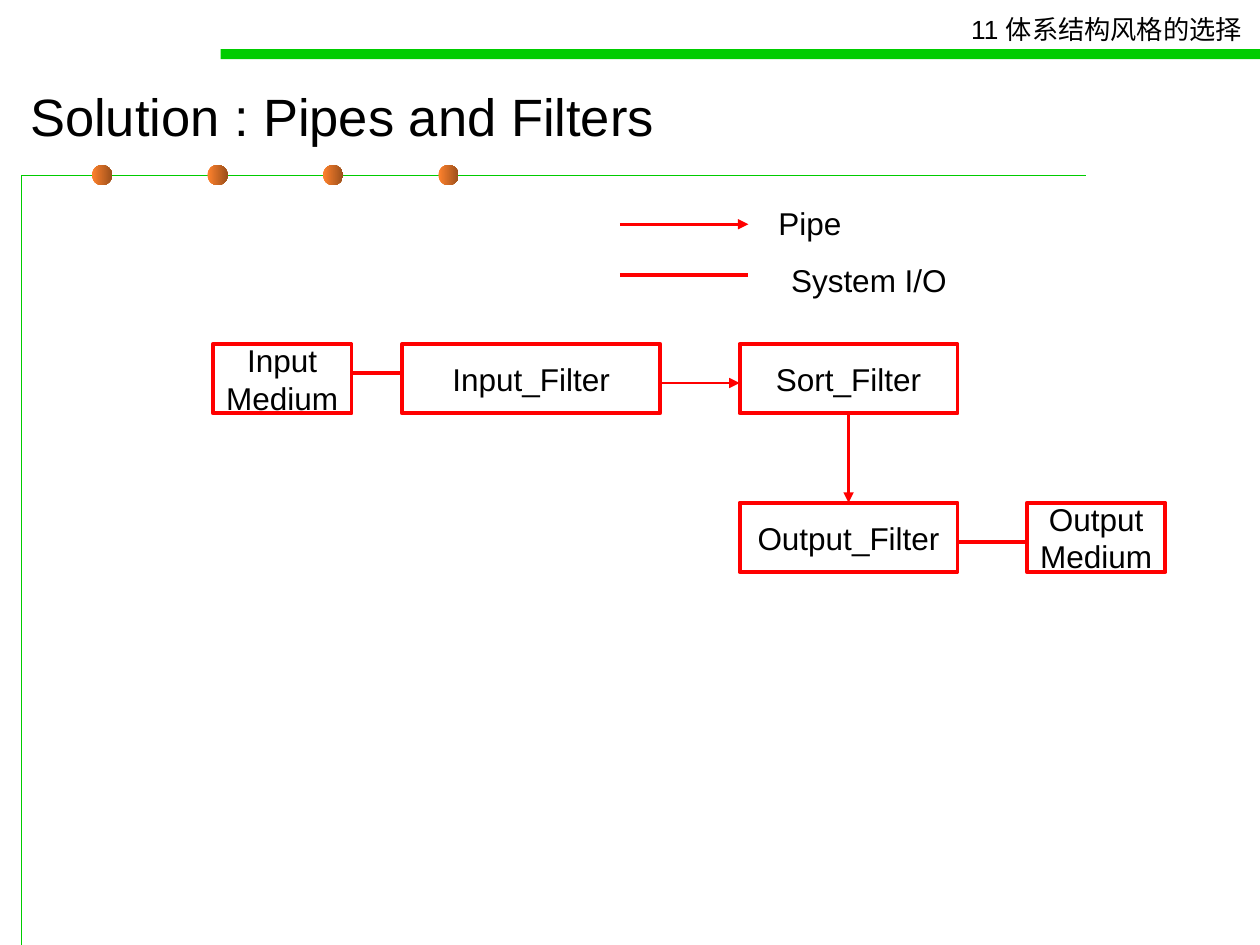
from lxml.etree import SubElement
from pptx import Presentation
from pptx.dml.color import RGBColor
from pptx.enum.shapes import MSO_CONNECTOR, MSO_SHAPE
from pptx.enum.text import MSO_ANCHOR, MSO_AUTO_SIZE, PP_ALIGN
from pptx.oxml.ns import qn
from pptx.util import Inches, Pt

THEME = {
    "font": "Arial",
    "text": RGBColor(0x00, 0x00, 0x00),
    "rule": RGBColor(0x00, 0xCC, 0x00),
    "flow": RGBColor(0xFF, 0x00, 0x00),
    "dots": (RGBColor(0xFF, 0x82, 0x2D), RGBColor(0x9B, 0x4F, 0x1B)),
    "header": Pt(15), "title": Pt(30), "body": Pt(18),
    "thin": Pt(0.75), "pipe": Pt(1.5), "thick": Pt(2.25),
}

prs = Presentation()
prs.slide_width, prs.slide_height = Inches(10), Inches(7.5)
slide = prs.slides.add_slide(prs.slide_layouts[6])
shapes = slide.shapes


def write(sp, text, size, align=PP_ALIGN.LEFT, **frame):
    tf = sp.text_frame
    for name, value in ({"word_wrap": False} | frame).items():
        setattr(tf, name, value)
    tf.text = text
    for p in tf.paragraphs:
        p.alignment = align
        fmt = {"name": THEME["font"], "size": THEME[size]}
        for name, value in fmt.items():
            setattr(p.runs[0].font, name, value)
        p.runs[0].font.color.rgb = THEME["text"]


def connect(x1, y1, x2, y2, pipe):
    ends = [Inches(v) for v in (x1, y1, x2, y2)]
    cx = shapes.add_connector(MSO_CONNECTOR.STRAIGHT, *ends)
    cx.line.color.rgb = THEME["flow"]
    cx.line.width = THEME["pipe" if pipe else "thick"]
    if pipe:
        SubElement(cx.line._get_or_add_ln(), qn("a:tailEnd"), type="triangle")
    SubElement(cx._element.spPr, qn("a:effectLst"))


# Green frame line down the left side and under the title
frame_x, frame_y, frame_end = 0.17, 1.39, 8.62
left, top, end = Inches(frame_x), Inches(frame_y), Inches(frame_end)
fb = shapes.build_freeform(left, prs.slide_height)
fb.add_line_segments([(left, top), (end, top)], close=False)
sp = fb.convert_to_shape()
sp.shadow.inherit = False
sp.fill.background()
sp.line.color.rgb, sp.line.width = THEME["rule"], THEME["thin"]

# Evenly spaced dots on the frame line
dot, first_dot, last_dot, dots = 0.16, 0.73, 3.48, 4
dot_gap = (last_dot - first_dot) / (dots - 1)
for i in range(dots):
    sp = shapes.add_shape(MSO_SHAPE.OVAL, Inches(first_dot + i * dot_gap),
                          Inches(frame_y - dot / 2), Inches(dot), Inches(dot))
    sp.shadow.inherit = False
    sp.line.fill.background()
    sp.fill.gradient()
    sp.fill.gradient_angle = 0
    for stop, color, pos in zip(sp.fill.gradient_stops, THEME["dots"], (0, 1)):
        stop.color.rgb, stop.position = color, pos

# Header bar
sp = shapes.add_shape(MSO_SHAPE.RECTANGLE, Inches(1.75), Inches(0.39),
                      Inches(8.25), Inches(0.08))
sp.shadow.inherit = False
sp.fill.solid()
sp.fill.fore_color.rgb = THEME["rule"]
sp.line.fill.background()

# Title
sp = shapes.add_textbox(Inches(0.14), Inches(0.56), Inches(9.29), Inches(0.71))
write(sp, "Solution : Pipes and Filters", "title",
      word_wrap=True, vertical_anchor=MSO_ANCHOR.MIDDLE)

# Header and legend labels, sized to their one line of text
for text, size, box in (
    ("11 体系结构风格的选择", "header", (7.61, 0.06, 2.41, 0.35)),
    ("Pipe", "body", (6.08, 1.57, 0.7, 0.4)),
    ("System I/O", "body", (6.18, 2.02, 1.45, 0.4)),
):
    sp = shapes.add_textbox(*[Inches(v) for v in box])
    write(sp, text, size, auto_size=MSO_AUTO_SIZE.SHAPE_TO_FIT_TEXT)

# Diagram grid: (left, width) of each column, top of each row
cols = {"input": (1.69, 1.1), "first": (3.19, 2.05),
        "second": (5.87, 1.73), "output": (8.15, 1.1)}
rows, box_h = (2.73, 3.99), 0.55
right = {name: x + width for name, (x, width) in cols.items()}

# Media and filter boxes
for text, col, row in (
    ("Input\nMedium", "input", 0),
    ("Input_Filter", "first", 0),
    ("Sort_Filter", "second", 0),
    ("Output_Filter", "second", 1),
    ("Output\nMedium", "output", 1),
):
    x, width = cols[col]
    sp = shapes.add_shape(MSO_SHAPE.RECTANGLE, Inches(x), Inches(rows[row]),
                          Inches(width), Inches(box_h))
    sp.shadow.inherit = False
    sp.fill.background()
    sp.line.color.rgb, sp.line.width = THEME["flow"], THEME["thick"]
    write(sp, text, "body", PP_ALIGN.CENTER, vertical_anchor=MSO_ANCHOR.MIDDLE)

# Horizontal links between neighbouring boxes
for source, target, y, pipe in (
    ("input", "first", rows[0] + 0.23, False),
    ("first", "second", rows[0] + 0.31, True),
    ("second", "output", rows[1] + 0.31, False),
):
    connect(right[source], y, cols[target][0], y, pipe)

# Vertical pipe from sort to output
mid = cols["second"][0] + cols["second"][1] / 2
connect(mid, rows[0] + box_h, mid, rows[1], True)

# Legend lines
for y, pipe in ((1.78, True), (2.18, False)):
    connect(4.92, y, 5.94, y, pipe)

prs.save("out.pptx")
